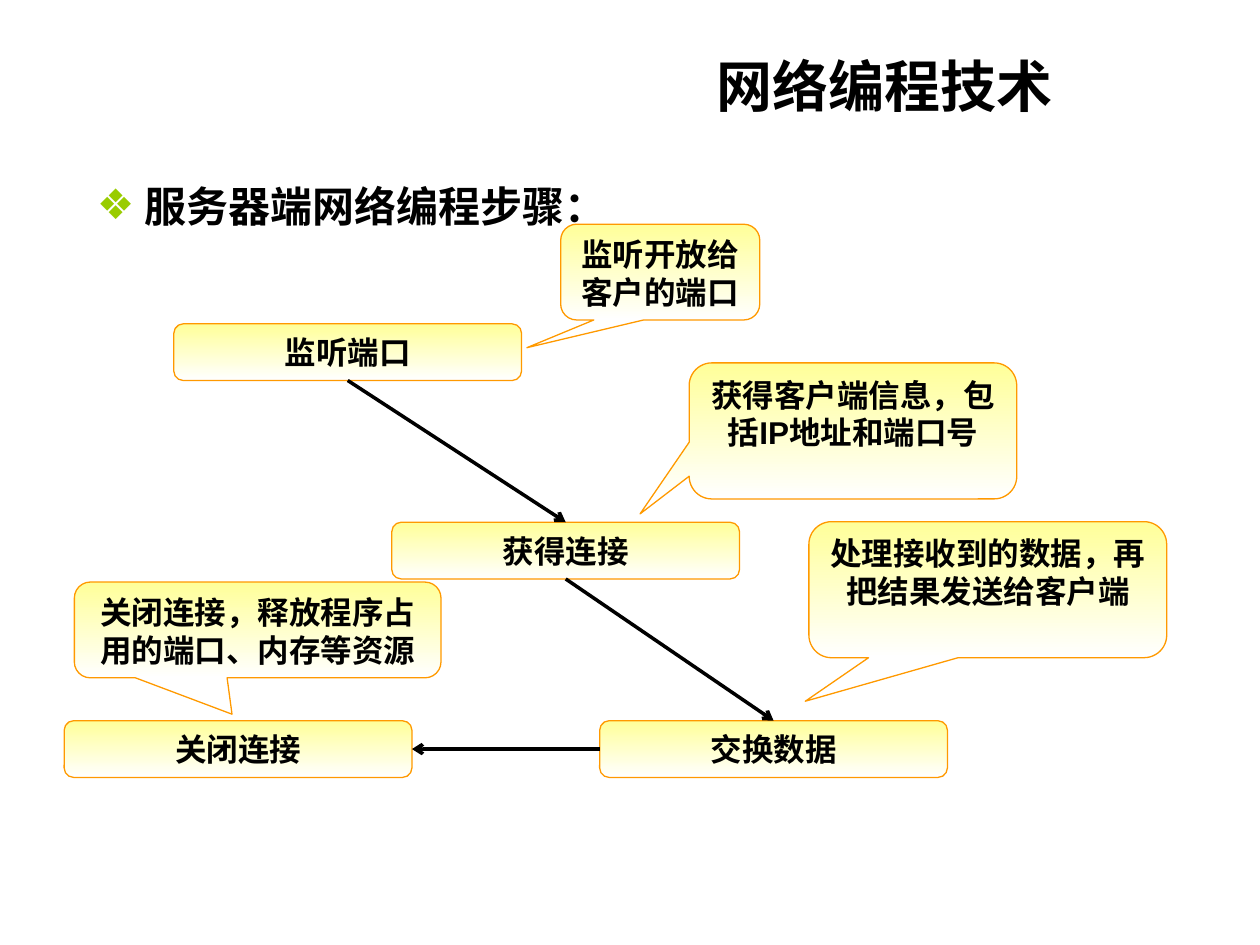
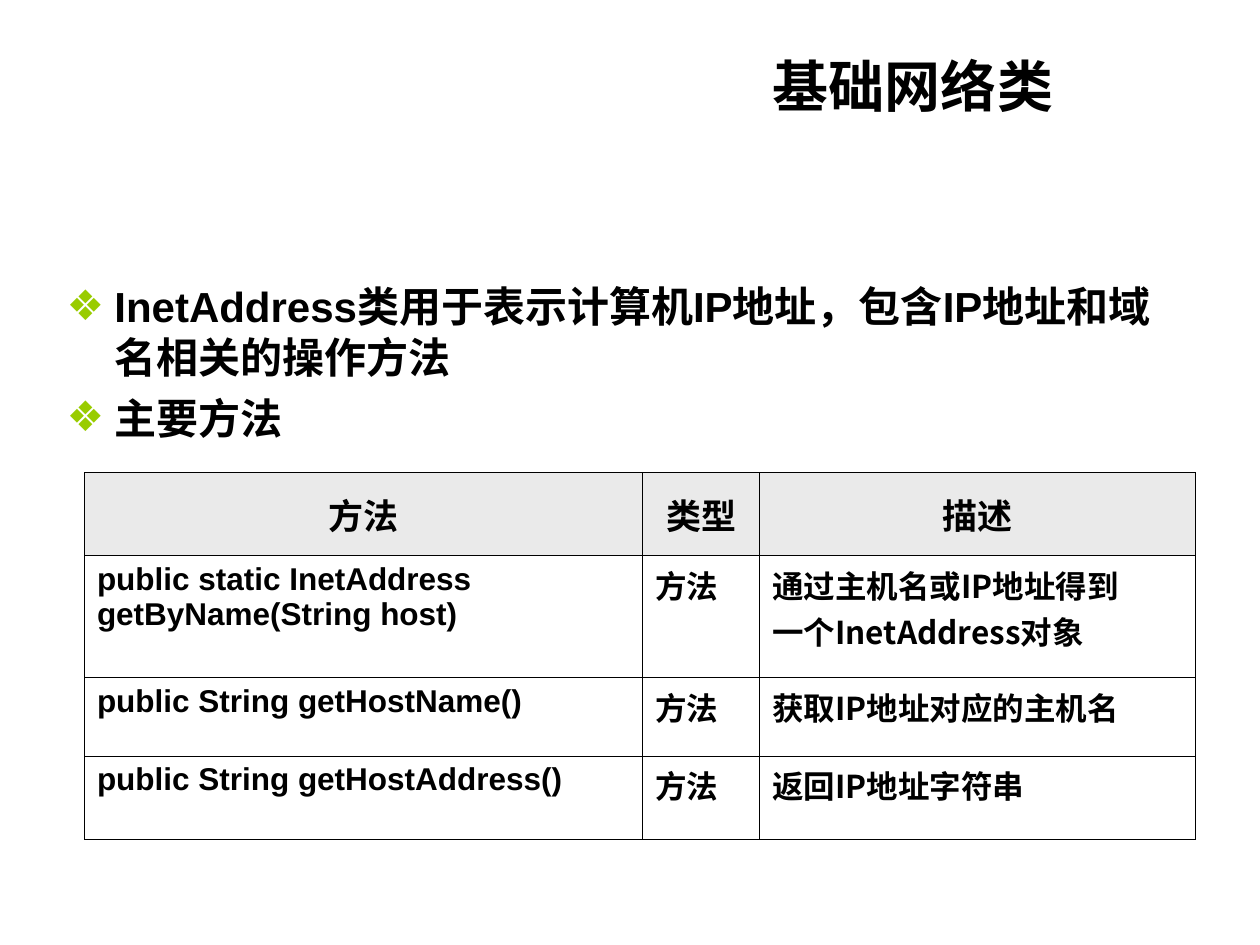
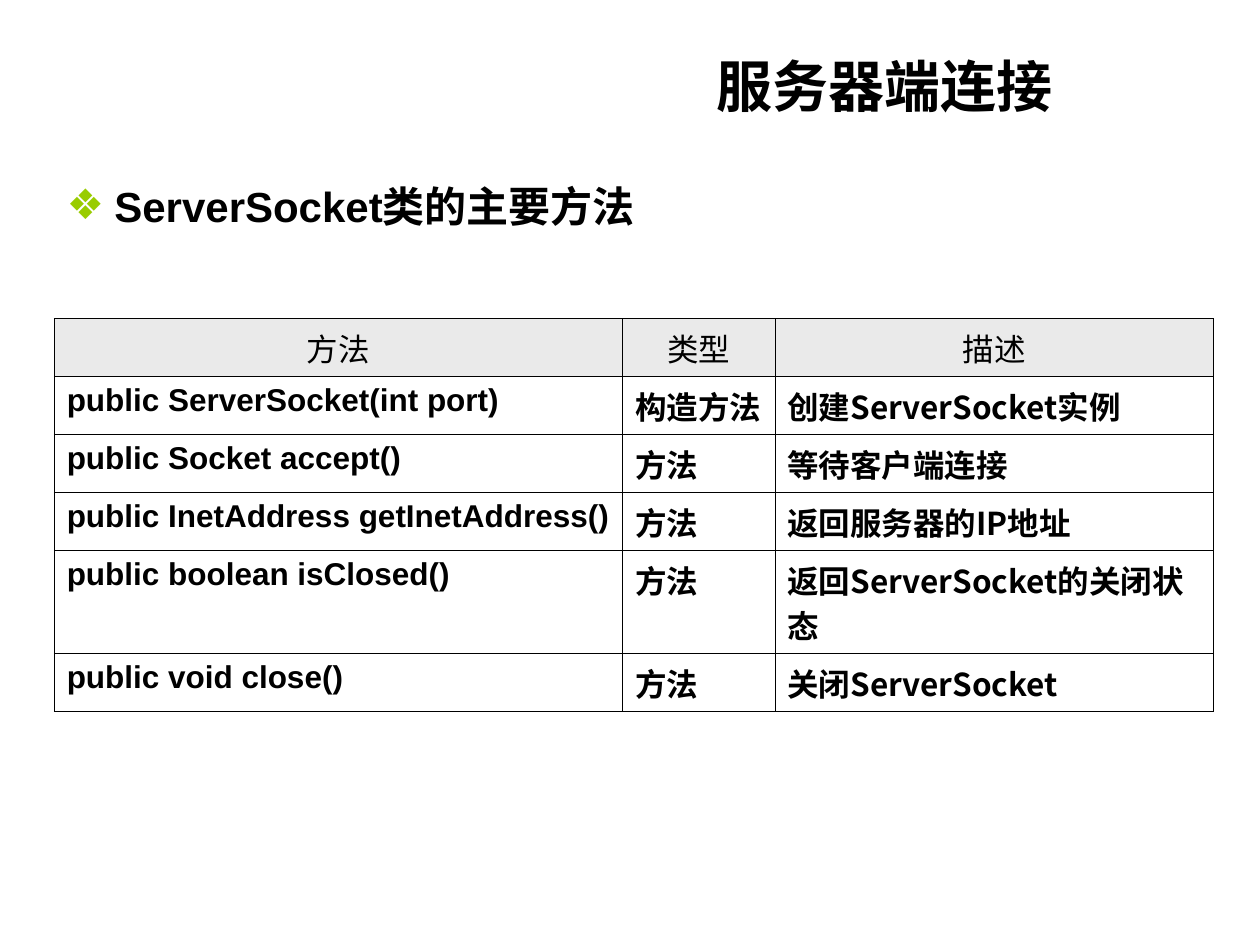
from lxml.etree import SubElement
from pptx import Presentation
from pptx.dml.color import RGBColor
from pptx.enum.shapes import MSO_CONNECTOR, MSO_SHAPE
from pptx.enum.text import MSO_ANCHOR, MSO_AUTO_SIZE, PP_ALIGN
from pptx.oxml import parse_xml
from pptx.oxml.ns import nsdecls, qn
from pptx.util import Inches, Pt

COLORS = {"text": "000000", "bullet": "99CC00", "outline": "FF9900",
          "glow": "FFFF99", "white": "FFFFFF", "header": "EAEAEA"}
LATIN, CJK = "Arial", "Noto Sans CJK SC"
TITLE_RIGHT, TITLE_TOP, TITLE_HEIGHT = 8.46, 0.36, 0.63
BULLET_INDENT = 0.38

# Step boxes share one size and sit on three evenly spaced levels
STEP_WIDTH, STEP_HEIGHT = 2.76, 0.45
FIRST_LEVEL, LAST_LEVEL = 2.57, 5.72
LEVEL_PITCH = (LAST_LEVEL - FIRST_LEVEL) / 2

STEPS = [  # label, left, level
    ("监听端口", 1.38, 0),
    ("获得连接", 3.11, 1),
    ("交换数据", 4.76, 2),
    ("关闭连接", 0.51, 2),
]
TOP, LEFT, BOTTOM, RIGHT = range(4)
ARROWS = [  # from step, side, to step, side
    (0, BOTTOM, 1, TOP),
    (1, BOTTOM, 2, TOP),
    (2, LEFT, 3, RIGHT),
]
CALLOUTS = [  # note, (left, top, width, height), pointer offset as share of size
    ("获得客户端信息，包括IP地址和端口号", (5.47, 2.88, 2.6, 1.08), (-0.65, 0.61)),
    ("处理接收到的数据，再把结果发送给客户端", (6.42, 4.14, 2.84, 1.08), (-0.51, 0.82)),
    ("关闭连接，释放程序占用的端口、内存等资源", (0.59, 4.62, 2.91, 0.76), (-0.07, 0.88)),
    ("监听开放给客户的端口", (4.45, 1.78, 1.58, 0.76), (-0.67, 0.79)),
]

FLOW = {"title": "网络编程技术", "title_width": 5.91,
        "bullets": ["服务器端网络编程步骤："], "bullets_at": (0.67, 1.38, 5.59, 0.51)}

HEADINGS = ["方法", "类型", "描述"]
METHOD_SLIDES = [
    {"title": "基础网络类", "title_width": 4.1,
     "bullets": ["InetAddress类用于表示计算机IP地址，包含IP地址和域名相关的操作方法",
                 "主要方法"],
     "bullets_at": (0.43, 2.18, 9, 1.39),
     "table_at": (0.67, 3.75), "columns": [4.43, 0.93, 3.46],
     "row_heights": [0.66, 0.97, 0.62, 0.66],
     "heading_size": 20, "heading_bold": True, "heading_anchor": MSO_ANCHOR.MIDDLE,
     "methods": [
         ("public static InetAddress\ngetByName(String host)", "方法",
          "通过主机名或IP地址得到\n一个InetAddress对象"),
         ("public String getHostName()", "方法", "获取IP地址对应的主机名"),
         ("public String getHostAddress()", "方法", "返回IP地址字符串"),
     ]},
    {"title": "服务器端连接", "title_width": 5.91,
     "bullets": ["ServerSocket类的主要方法"], "bullets_at": (0.43, 1.38, 5.2, 0.5),
     "table_at": (0.43, 2.53), "columns": [4.51, 1.21, 3.48],
     "row_heights": [0.46, 0.46, 0.46, 0.46, 0.82, 0.46],
     "heading_size": 18, "heading_bold": False, "heading_anchor": MSO_ANCHOR.TOP,
     "methods": [
         ("public ServerSocket(int port)", "构造方法", "创建ServerSocket实例"),
         ("public Socket accept()", "方法", "等待客户端连接"),
         ("public InetAddress getInetAddress()", "方法", "返回服务器的IP地址"),
         ("public boolean isClosed()", "方法", "返回ServerSocket的关闭状态"),
         ("public void close()", "方法", "关闭ServerSocket"),
     ]},
]


def color(name):
    return RGBColor.from_string(COLORS[name])


def inches(lengths):
    return [Inches(length) for length in lengths]


def write(paragraph, text, size, bold=True, latin=LATIN, east_asian=LATIN):
    run = paragraph.add_run()
    run.text = text
    font = run.font
    font.size, font.bold, font.name = Pt(size), bold, latin
    font.color.rgb = color("text")
    SubElement(font._element, qn("a:ea")).set("typeface", east_asian)


def paragraphs(frame, count):
    return [frame.paragraphs[0]] + [frame.add_paragraph() for _ in range(count - 1)]


def add_titled_slide(prs, content):
    """Add a slide with the shared title style and its bullet list."""
    slide = prs.slides.add_slide(prs.slide_layouts[5])
    title = slide.shapes.title
    width = content["title_width"]
    title.left, title.top, title.width, title.height = inches(
        (TITLE_RIGHT - width, TITLE_TOP, width, TITLE_HEIGHT))
    frame = title.text_frame
    frame.auto_size = MSO_AUTO_SIZE.NONE
    frame.vertical_anchor = MSO_ANCHOR.MIDDLE
    frame.paragraphs[0].alignment = PP_ALIGN.RIGHT
    write(frame.paragraphs[0], content["title"], 32)

    frame = slide.shapes.add_textbox(*inches(content["bullets_at"])).text_frame
    frame.word_wrap = True
    bullets = content["bullets"]
    for index, (paragraph, text) in enumerate(zip(paragraphs(frame, len(bullets)), bullets)):
        if index:
            paragraph.space_before = Pt(6)
        properties = paragraph._p.get_or_add_pPr()
        properties.set("marL", str(Inches(BULLET_INDENT)))
        properties.set("indent", str(-Inches(BULLET_INDENT)))
        bullet_color = SubElement(properties, qn("a:buClr"))
        SubElement(bullet_color, qn("a:srgbClr")).set("val", COLORS["bullet"])
        SubElement(properties, qn("a:buFont")).set("typeface", LATIN)
        SubElement(properties, qn("a:buChar")).set("char", "❖")
        write(paragraph, text, 24)
    return slide


def add_glowing_shape(slide, kind, box, text, anchor):
    shape = slide.shapes.add_shape(kind, *inches(box))
    shape.shadow.inherit = False
    shape.fill.gradient()
    shape.fill.gradient_angle = 270
    for stop, name in zip(shape.fill.gradient_stops, ("glow", "white")):
        stop.color.rgb = color(name)
    shape.line.color.rgb = color("outline")
    shape.line.width = Pt(0.75)
    frame = shape.text_frame
    frame.word_wrap = True
    frame.vertical_anchor = anchor
    frame.paragraphs[0].alignment = PP_ALIGN.CENTER
    write(frame.paragraphs[0], text, 18)
    return shape


def add_arrow(slide, start, start_side, end, end_side):
    arrow = slide.shapes.add_connector(MSO_CONNECTOR.STRAIGHT, 0, 0, 0, 0)
    arrow.begin_connect(start, start_side)
    arrow.end_connect(end, end_side)
    arrow.line.color.rgb = color("text")
    arrow.line.width = Pt(2)
    SubElement(arrow.line._get_or_add_ln(), qn("a:tailEnd")).set("type", "arrow")
    SubElement(arrow._element.spPr, qn("a:effectLst"))


def add_flow(slide):
    steps = [add_glowing_shape(
        slide, MSO_SHAPE.ROUNDED_RECTANGLE,
        (left, FIRST_LEVEL + level * LEVEL_PITCH, STEP_WIDTH, STEP_HEIGHT),
        label, MSO_ANCHOR.MIDDLE) for label, left, level in STEPS]
    for start, start_side, end, end_side in ARROWS:
        add_arrow(slide, steps[start], start_side, steps[end], end_side)
    for note, box, pointer in CALLOUTS:
        callout = add_glowing_shape(slide, MSO_SHAPE.ROUNDED_RECTANGULAR_CALLOUT,
                                    box, note, MSO_ANCHOR.TOP)
        callout.adjustments[0], callout.adjustments[1] = pointer


def add_borders(cell):
    properties = cell._tc.get_or_add_tcPr()
    for position, side in enumerate(("lnL", "lnR", "lnT", "lnB")):
        properties.insert(position, parse_xml(
            f'<a:{side} {nsdecls("a")} w="{Pt(0.45)}"><a:solidFill>'
            f'<a:srgbClr val="{COLORS["text"]}"/></a:solidFill></a:{side}>'))


def add_method_table(slide, content):
    rows = [HEADINGS] + content["methods"]
    columns, heights = content["columns"], content["row_heights"]
    table = slide.shapes.add_table(
        len(rows), len(columns),
        *inches((*content["table_at"], sum(columns), sum(heights)))).table
    table.first_row = table.horz_banding = False
    for column, width in zip(table.columns, columns):
        column.width = Inches(width)
    for row, height in zip(table.rows, heights):
        row.height = Inches(height)
    for r, texts in enumerate(rows):
        for c, text in enumerate(texts):
            cell = table.cell(r, c)
            heading = r == 0
            if heading:
                cell.fill.solid()
                cell.fill.fore_color.rgb = color("header")
                cell.vertical_anchor = content["heading_anchor"]
                style = (content["heading_size"], content["heading_bold"], LATIN, CJK)
            else:
                cell.fill.background()
                face = CJK if c else LATIN
                style = (18, True, face, face)
            add_borders(cell)
            lines = text.split("\n")
            for paragraph, line in zip(paragraphs(cell.text_frame, len(lines)), lines):
                paragraph.alignment = PP_ALIGN.CENTER if heading else PP_ALIGN.LEFT
                write(paragraph, line, *style)


def main():
    prs = Presentation()
    prs.slide_width, prs.slide_height = Inches(10), Inches(7.5)
    add_flow(add_titled_slide(prs, FLOW))
    for content in METHOD_SLIDES:
        add_method_table(add_titled_slide(prs, content), content)
    prs.save("out.pptx")


if __name__ == "__main__":
    main()
